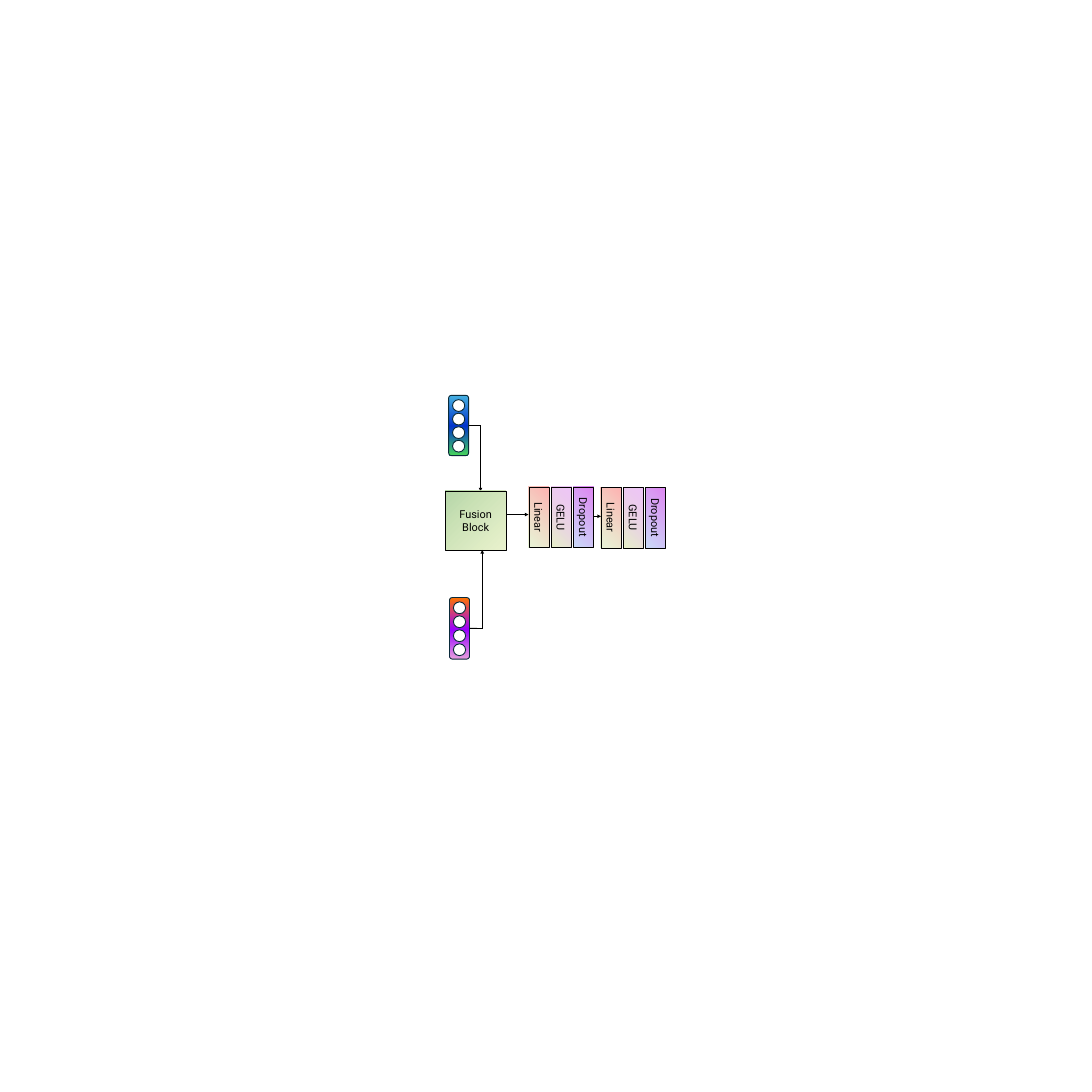
from lxml import etree
from pptx import Presentation
from pptx.dml.color import RGBColor
from pptx.enum.shapes import MSO_CONNECTOR, MSO_SHAPE
from pptx.enum.text import MSO_ANCHOR, PP_ALIGN
from pptx.oxml.ns import qn
from pptx.util import Inches, Pt

ROUND, OVAL = MSO_SHAPE.ROUNDED_RECTANGLE, MSO_SHAPE.OVAL
STRAIGHT = MSO_CONNECTOR.STRAIGHT
CENTER, MIDDLE = PP_ALIGN.CENTER, MSO_ANCHOR.MIDDLE
RIGHT_SIDE = 3

COLORS = {
    "black": "000000", "white": "FFFFFF", "outline": "092A39",
    "sky": "46B1E1", "blue": "0033CC", "green": "47D45A",
    "orange": "FF7401", "violet": "9900FF", "pink": "E59EDD",
    "lime": "D8EDBA", "salmon": "FE9696", "cream": "E0EDBA",
    "orchid": "DE87F1", "ice": "C9DAF8", "sage": "B6D7A8",
}
LAYERS = {
    "Linear": [(0, "lime", 58), (100, "salmon", 74)],
    "GELU": [(0, "cream", 79), (100, "orchid", 48)],
    "Dropout": [(0, "ice", 100), (100, "orchid", 100)],
}
FUSION_STOPS = [(0, "cream", 71), (100, "sage", 100)]
IMAGE_STOPS = [(0, "sky", 100), (51, "blue", 100), (100, "green", 100)]
TEXT_STOPS = [(0, "orange", 100), (52, "violet", 100), (100, "pink", 100)]


class Diagram:
    """Draws the parts of a network diagram on one slide."""

    def __init__(self, slide):
        self.shapes = slide.shapes
        self.font = {"name": "Roboto", "size": Pt(18)}
        self.frame = {"word_wrap": True, "vertical_anchor": MIDDLE}
        for side in ("left", "right", "top", "bottom"):
            self.frame[f"margin_{side}"] = Inches(0.1)

    def color(self, name):
        return RGBColor.from_string(COLORS[name])

    def shape(self, kind, box, line, width):
        sp = self.shapes.add_shape(kind, *map(Inches, box))
        sp.shadow.inherit = False
        sp.line.color.rgb = self.color(line)
        sp.line.width = Pt(width)
        return sp

    def gradient(self, sp, stops, angle):
        sp.fill.gradient()
        grad = sp._element.spPr.find(qn("a:gradFill"))
        grad.set("rotWithShape", "1")
        for child in list(grad):
            grad.remove(child)
        stop_list = etree.SubElement(grad, qn("a:gsLst"))
        for position, name, opacity in stops:
            gs = etree.SubElement(stop_list, qn("a:gs"), pos=str(position * 1000))
            clr = etree.SubElement(gs, qn("a:srgbClr"), val=COLORS[name])
            if opacity < 100:
                etree.SubElement(clr, qn("a:alpha"), val=str(opacity * 1000))
        etree.SubElement(grad, qn("a:lin"), ang=str(angle * 60000), scaled="0")

    def block(self, text, box, stops, rotation=0):
        sp = self.shape(ROUND, box, "black", 0.75)
        sp.adjustments[0] = 0
        sp.rotation = rotation
        self.gradient(sp, stops, 225)
        tf = sp.text_frame
        for name, value in self.frame.items():
            setattr(tf, name, value)
        p = tf.paragraphs[0]
        p.alignment = CENTER
        r = p.add_run()
        r.text = text
        for name, value in self.font.items():
            setattr(r.font, name, value)
        r.font.color.rgb = self.color("black")

    def layers(self, left, top):
        for i, (text, stops) in enumerate(LAYERS.items()):
            self.block(text, (left + 0.51 * i, top, 1.39, 0.46), stops, 90)

    def vector(self, left, top, height, step, stops):
        sp = self.shape(ROUND, (left, top, 0.46, height), "outline", 1.5)
        sp.adjustments[0] = 0.144
        self.gradient(sp, stops, 90)
        for i in range(4):
            box = (left + 0.09, top + 0.1 + step * i, 0.28, 0.27)
            cell = self.shape(OVAL, box, "outline", 1.5)
            cell.fill.solid()
            cell.fill.fore_color.rgb = self.color("white")
        return sp

    def line(self, start, end, arrow=True, source=None):
        c = self.shapes.add_connector(STRAIGHT, *map(Inches, start + end))
        if source is not None:
            c.begin_connect(source, RIGHT_SIDE)
        c.line.color.rgb = self.color("black")
        c.line.width = Pt(1.5)
        sp_pr = c._element.spPr
        if arrow:
            etree.SubElement(sp_pr.find(qn("a:ln")), qn("a:tailEnd"), type="triangle")
        etree.SubElement(sp_pr, qn("a:effectLst"))

    def feed(self, source, start, corner_x, end_y):
        corner = (corner_x, start[1])
        self.line(start, corner, arrow=False, source=source)
        self.line(corner, (corner_x, end_y))


def main():
    prs = Presentation()
    prs.slide_width = prs.slide_height = Inches(25)
    d = Diagram(prs.slides.add_slide(prs.slide_layouts[6]))

    upper = d.vector(10.27, 9.05, 1.38, 0.31, IMAGE_STOPS)
    lower = d.vector(10.29, 13.68, 1.41, 0.32, TEXT_STOPS)
    d.layers(11.64, 11.61)
    d.layers(13.29, 11.62)

    d.line((13.58, 11.82), (13.76, 11.82))
    d.line((11.59, 11.78), (12.1, 11.78))
    d.feed(upper, (10.73, 9.74), 11, 11.25)
    d.feed(lower, (10.75, 14.39), 11.04, 12.59)
    d.block("Fusion Block", (10.2, 11.24, 1.38, 1.35), FUSION_STOPS)

    prs.save("out.pptx")


if __name__ == "__main__":
    main()
